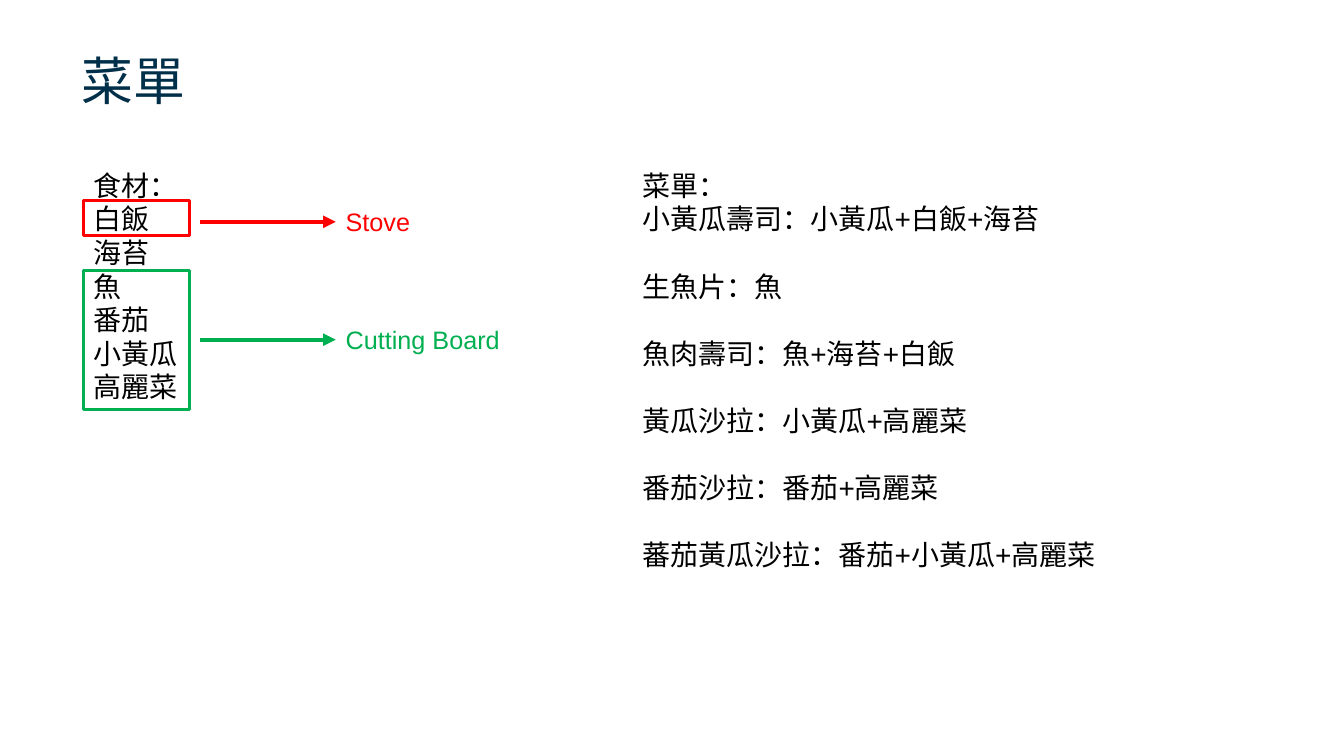
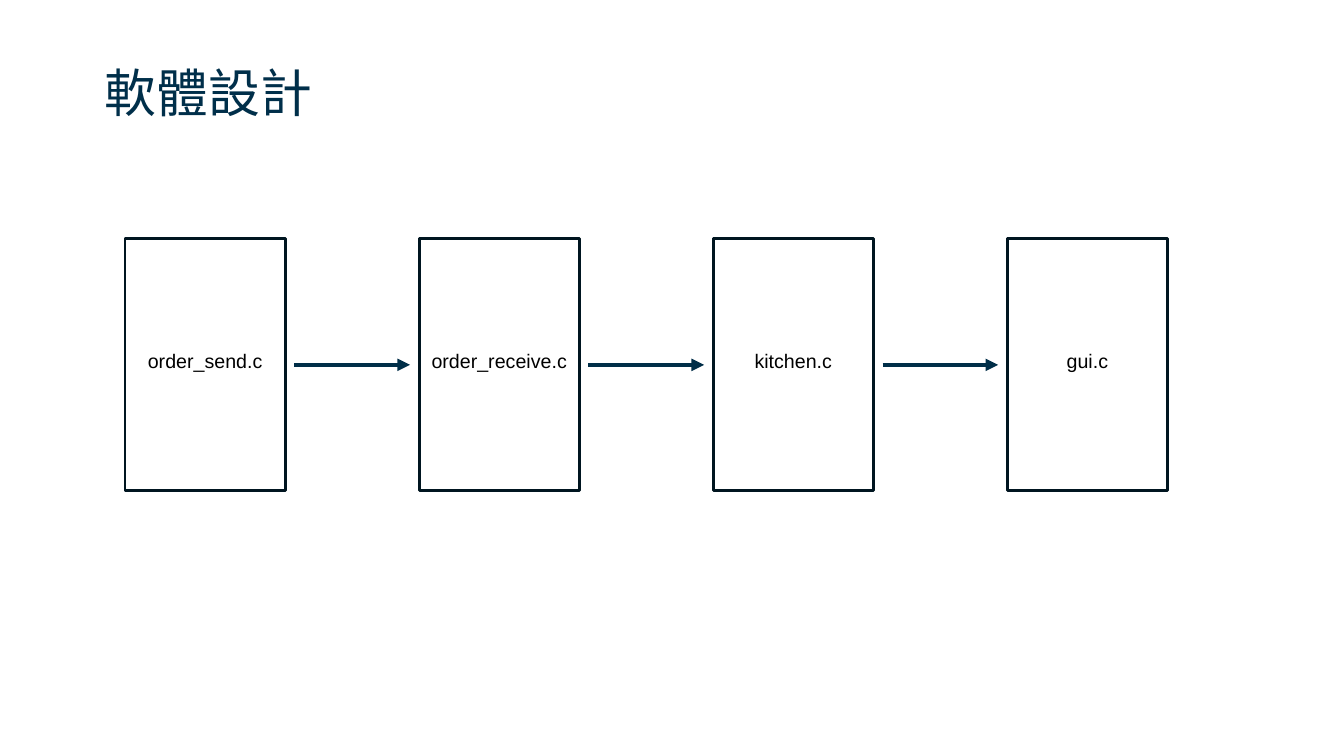
from lxml import etree
from pptx import Presentation
from pptx.dml.color import RGBColor
from pptx.enum.shapes import MSO_CONNECTOR, MSO_SHAPE
from pptx.enum.text import MSO_ANCHOR, MSO_AUTO_SIZE, PP_ALIGN
from pptx.oxml.ns import qn
from pptx.util import Inches, Pt

RECTANGLE = MSO_SHAPE.RECTANGLE
STRAIGHT = MSO_CONNECTOR.STRAIGHT
TOP, MIDDLE = MSO_ANCHOR.TOP, MSO_ANCHOR.MIDDLE
LEFT, CENTER = PP_ALIGN.LEFT, PP_ALIGN.CENTER
NO_AUTOFIT = MSO_AUTO_SIZE.NONE
TITLE_ONLY = 5

COLORS = {
    "title": "002F4A",
    "text": "000000",
    "stove": "FF0000",
    "board": "00B050",
    "module_fill": "FFFFFF",
    "module_line": "001520",
    "flow": "002E48",
}
LATIN_FONT = "Arial"
TITLE_FONT = "Noto Sans CJK TC"
BODY_FONT = "Noto Sans CJK SC"
LINE_PITCH = Pt(24)

INGREDIENTS = ["食材：", "白飯", "海苔", "魚", "番茄", "小黃瓜", "高麗菜"]
MENU_HEADING = ["菜單：", "小黃瓜壽司：小黃瓜+白飯+海苔"]
MENU_DISHES = [
    "生魚片：魚",
    "魚肉壽司：魚+海苔+白飯",
    "黃瓜沙拉：小黃瓜+高麗菜",
    "番茄沙拉：番茄+高麗菜",
    "蕃茄黃瓜沙拉：番茄+小黃瓜+高麗菜",
]
MODULES = ["order_send.c", "order_receive.c", "kitchen.c", "gui.c"]


def color(key):
    """Return a palette colour."""
    return RGBColor.from_string(COLORS[key])


def add_run(paragraph, text, size, color_key, east_asian=None):
    """Add one formatted run to a paragraph."""
    run = paragraph.add_run()
    run.text = text
    run.font.size = Pt(size)
    run.font.color.rgb = color(color_key)
    run.font.name = LATIN_FONT
    if east_asian:
        properties = run.font._element
        etree.SubElement(properties, qn("a:ea"), typeface=east_asian)


def add_title_slide(prs, title_text, left, top, width, height):
    """Add a slide with its title in the given box."""
    slide = prs.slides.add_slide(prs.slide_layouts[TITLE_ONLY])
    title = slide.shapes.title
    title.left, title.top = Inches(left), Inches(top)
    title.width, title.height = Inches(width), Inches(height)
    frame = title.text_frame
    frame.auto_size = NO_AUTOFIT
    frame.vertical_anchor = TOP
    paragraph = frame.paragraphs[0]
    paragraph.alignment = LEFT
    paragraph.line_spacing = 0.9
    add_run(paragraph, title_text, 37, "title", TITLE_FONT)
    return slide


def add_text_area(slide, left, top, width, height):
    """Add a wrapping text box and return its text frame."""
    area = slide.shapes.add_textbox(
        Inches(left), Inches(top), Inches(width), Inches(height))
    area.text_frame.word_wrap = True
    return area.text_frame


def add_list(slide, lines, left, top, width, height, spaced_from=None):
    """Add a text list, with a line of space before each late entry."""
    frame = add_text_area(slide, left, top, width, height)
    for index, line in enumerate(lines):
        paragraph = frame.add_paragraph() if index else frame.paragraphs[0]
        paragraph.line_spacing = LINE_PITCH
        if spaced_from is not None and index >= spaced_from:
            paragraph.space_before = LINE_PITCH
        add_run(paragraph, line, 20, "text", BODY_FONT)


def add_outline(slide, left, top, width, height, color_key):
    """Add an unfilled rectangle with a coloured outline."""
    outline = slide.shapes.add_shape(
        RECTANGLE, Inches(left), Inches(top), Inches(width), Inches(height))
    outline.shadow.inherit = False
    outline.fill.background()
    outline.line.color.rgb = color(color_key)
    outline.line.width = Pt(2)
    return outline


def add_arrow(slide, left, y, length, color_key):
    """Add a horizontal arrow pointing right."""
    arrow = slide.shapes.add_connector(
        STRAIGHT, Inches(left), Inches(y), Inches(left + length), Inches(y))
    arrow.line.color.rgb = color(color_key)
    arrow.line.width = Pt(3)
    etree.SubElement(arrow.line._get_or_add_ln(), qn("a:tailEnd"), type="triangle")
    etree.SubElement(arrow._element.spPr, qn("a:effectLst"))


def add_tool_callout(slide, tool, left, top, height, arrow_y, color_key):
    """Frame some ingredients and point from them to their kitchen tool."""
    width, gap, length = 1.05, 0.1, 1.35
    add_outline(slide, left, top, width, height, color_key)
    arrow_left = left + width + gap
    add_arrow(slide, arrow_left, arrow_y, length, color_key)
    label = add_text_area(slide, arrow_left + length, arrow_y - 0.2, 1.79, 0.4)
    add_run(label.paragraphs[0], tool, 18, color_key)


def add_module(slide, name, left, top, width, height):
    """Add a box that holds the name of one program module."""
    module = add_outline(slide, left, top, width, height, "module_line")
    module.fill.solid()
    module.fill.fore_color.rgb = color("module_fill")
    frame = module.text_frame
    frame.word_wrap = True
    frame.vertical_anchor = MIDDLE
    frame.margin_left = frame.margin_right = Inches(0.05)
    frame.margin_bottom = Inches(0.13)
    paragraph = frame.paragraphs[0]
    paragraph.alignment = CENTER
    add_run(paragraph, name, 14, "text")


def add_module_flow(slide, left, top, width, height):
    """Spread the modules over the box and link them with arrows."""
    module_width, inset = 1.59, 0.09
    pitch = (width - module_width) / (len(MODULES) - 1)
    for index, name in enumerate(MODULES):
        module_left = left + index * pitch
        add_module(slide, name, module_left, top, module_width, height)
        if index < len(MODULES) - 1:
            add_arrow(slide, module_left + module_width + inset,
                      top + height / 2, pitch - module_width - 2 * inset, "flow")


def build_menu_slide(prs):
    """Build the slide of ingredients and dishes."""
    slide = add_title_slide(prs, "菜單", 0.71, 0.5, 2.47, 0.77)
    add_list(slide, INGREDIENTS, 0.83, 1.62, 4.56, 3.03)
    add_tool_callout(slide, "Stove", 0.83, 1.99, 0.35, 2.2, "stove")
    add_tool_callout(slide, "Cutting Board", 0.83, 2.68, 1.38, 3.37, "board")
    add_list(slide, MENU_HEADING + MENU_DISHES, 6.27, 1.62, 4.77, 4.14,
             spaced_from=len(MENU_HEADING))


def build_design_slide(prs):
    """Build the slide of the software modules."""
    slide = add_title_slide(prs, "軟體設計", 0.94, 0.62, 10.29, 1.53)
    add_module_flow(slide, 1.24, 2.37, 10.34, 2.5)


def main():
    """Build and save the presentation."""
    prs = Presentation()
    prs.slide_width, prs.slide_height = Inches(13.33), Inches(7.5)
    build_menu_slide(prs)
    build_design_slide(prs)
    prs.save("out.pptx")


if __name__ == "__main__":
    main()
